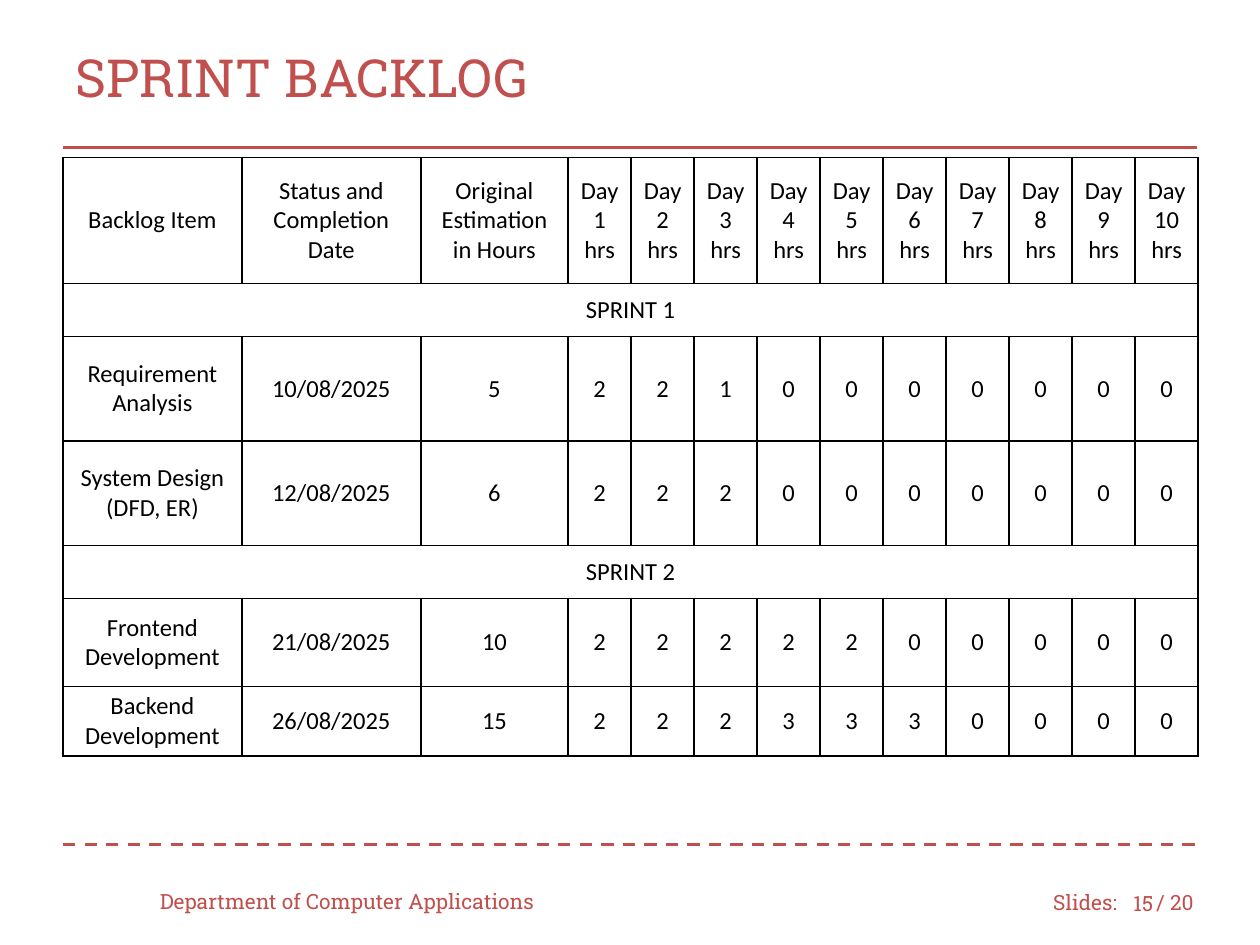
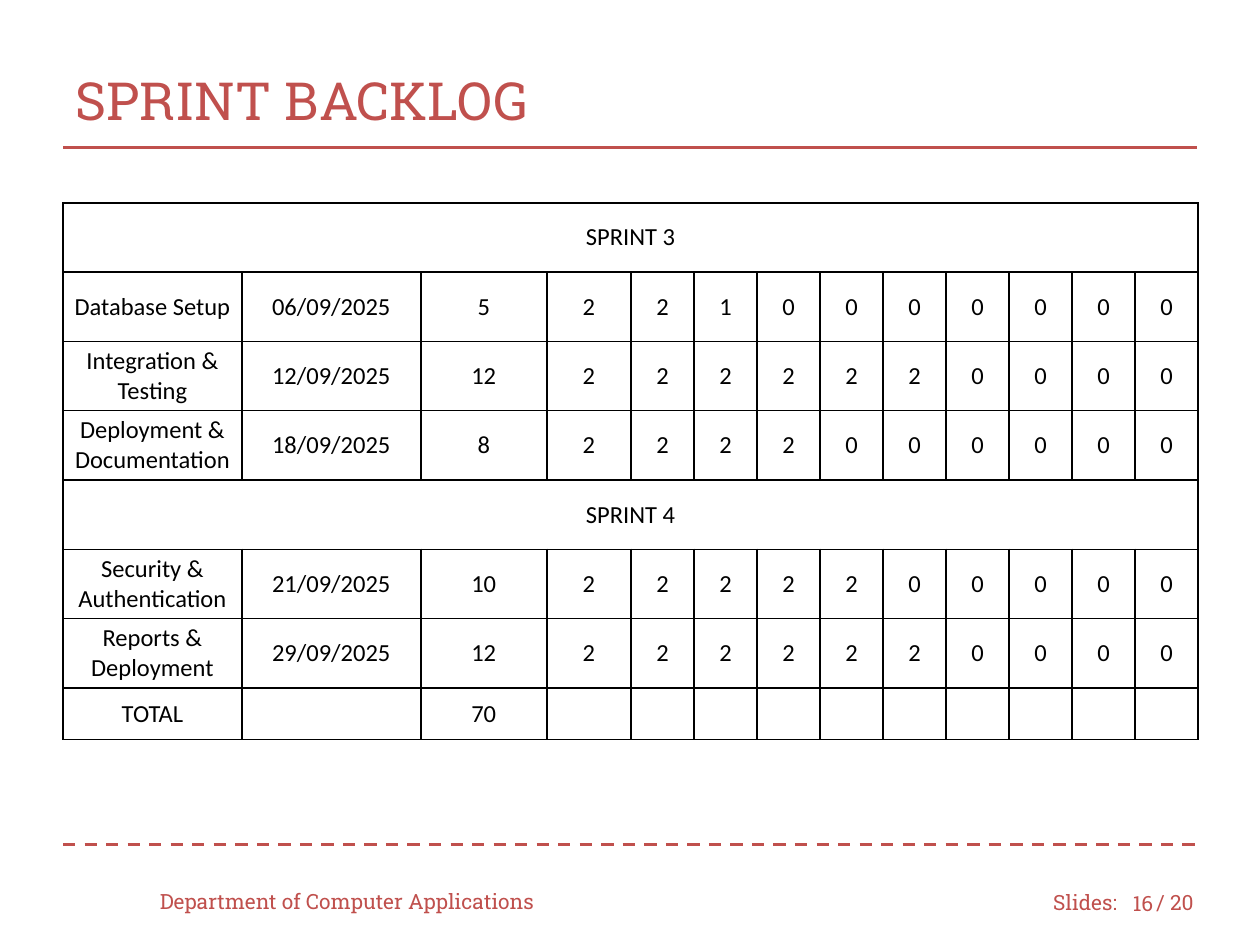
"""Build the two sprint backlog slides."""
from dataclasses import dataclass

from lxml.etree import SubElement
from pptx import Presentation
from pptx.dml.color import RGBColor
from pptx.enum.dml import MSO_LINE
from pptx.enum.shapes import MSO_CONNECTOR
from pptx.enum.text import MSO_ANCHOR, PP_ALIGN
from pptx.oxml.ns import qn
from pptx.util import Inches, Pt


@dataclass(frozen=True)
class Theme:
    accent: RGBColor = RGBColor(0xC0, 0x50, 0x4D)
    ink: RGBColor = RGBColor(0, 0, 0)
    heading_font: str = "Roboto Slab"
    table_font: str = "Calibri"
    title_size: Pt = Pt(30)
    footer_size: Pt = Pt(12)
    table_size: Pt = Pt(14)
    rule_width: Pt = Pt(1.75)
    border_width: Pt = Pt(1)


DAYS = 10
SLIDE_TOTAL = 20
LEFT, RIGHT = 0.5, 9.5


def apply_format(target, values):
    for name, value in values.items():
        setattr(target, name, value)


def backlog_row(item, date, estimate, *hours):
    idle_days = [0] * (DAYS - len(hours))
    return [item, date, estimate, *hours, *idle_days]


class BacklogDeck:
    def __init__(self, theme):
        self.theme = theme
        self.slide = None
        self.presentation = Presentation()
        apply_format(self.presentation, {"slide_width": Inches(10), "slide_height": Inches(7.5)})
        self.title_format = {"name": theme.heading_font, "size": theme.title_size}
        self.footer_format = {"name": theme.heading_font, "size": theme.footer_size}
        self.table_format = {"name": theme.table_font, "size": theme.table_size}

    def add_text(self, text_frame, text, font_format, color, alignment=PP_ALIGN.LEFT):
        paragraph = text_frame.paragraphs[0]
        paragraph.alignment = alignment
        run = paragraph.add_run()
        run.text = text
        apply_format(run.font, font_format)
        run.font.color.rgb = color

    def place(self, shape, left, top, width, height):
        apply_format(shape, {"left": Inches(left), "top": Inches(top),
                             "width": Inches(width), "height": Inches(height)})

    def add_slide(self, title, title_top, number):
        self.slide = self.presentation.slides.add_slide(self.presentation.slide_layouts[5])
        self.add_title(title, title_top)
        self.add_rule(1.17)
        self.add_rule(6.7, MSO_LINE.DASH)
        self.add_label("Department of Computer Applications", 1.17, 6.95, 3.33)
        self.add_label("Slides:", 8.26, 6.96, 0.75)
        self.add_label(str(number), 8.83, 6.97, 0.42, PP_ALIGN.RIGHT)
        self.add_label(f"/ {SLIDE_TOTAL}", 9.08, 6.96, 0.58)

    def add_title(self, text, top):
        shape = self.slide.shapes.title
        self.place(shape, LEFT, top, RIGHT - LEFT, 0.92)
        shape.text_frame.vertical_anchor = MSO_ANCHOR.MIDDLE
        self.add_text(shape.text_frame, text, self.title_format, self.theme.accent)

    def add_label(self, text, left, top, width, alignment=PP_ALIGN.LEFT):
        shape = self.slide.shapes.add_textbox(
            Inches(left), Inches(top), Inches(width), Inches(0.4))
        apply_format(shape.text_frame, {"word_wrap": True, "vertical_anchor": MSO_ANCHOR.MIDDLE})
        self.add_text(shape.text_frame, text, self.footer_format, self.theme.accent, alignment)

    def add_rule(self, top, dash_style=None):
        connector = self.slide.shapes.add_connector(
            MSO_CONNECTOR.STRAIGHT, Inches(LEFT), Inches(top), Inches(RIGHT), Inches(top))
        connector.line.color.rgb = self.theme.accent
        apply_format(connector.line, {"width": self.theme.rule_width, "dash_style": dash_style})
        SubElement(connector.element.spPr, qn("a:effectLst"))

    def add_backlog(self, top, columns, heights, rows, inset):
        frame = self.slide.shapes.add_table(
            len(rows), len(columns), Inches(LEFT), Inches(top),
            Inches(sum(columns)), Inches(sum(heights)))
        table = frame.table
        apply_format(table, {"first_row": False, "horz_banding": False})
        for column, width in zip(table.columns, columns):
            column.width = Inches(width)
        for row, height in zip(table.rows, heights):
            row.height = Inches(height)
        for row_index, values in enumerate(rows):
            for column_index in range(len(columns)):
                self.style_cell(table.cell(row_index, column_index), inset)
            if len(values) == 1:
                table.cell(row_index, 0).merge(table.cell(row_index, len(columns) - 1))
            for column_index, value in enumerate(values):
                if value != "":
                    self.add_text(table.cell(row_index, column_index).text_frame, str(value),
                                  self.table_format, self.theme.ink, PP_ALIGN.CENTER)

    def style_cell(self, cell, inset):
        apply_format(cell, {"margin_left": Inches(inset), "margin_right": Inches(inset),
                            "margin_top": Inches(inset / 2), "margin_bottom": Inches(inset / 2),
                            "vertical_anchor": MSO_ANCHOR.MIDDLE})
        properties = cell._tc.get_or_add_tcPr()
        for side in ("lnL", "lnR", "lnT", "lnB"):
            border = SubElement(properties, qn(f"a:{side}"), w=str(self.theme.border_width))
            fill = SubElement(border, qn("a:solidFill"))
            SubElement(fill, qn("a:srgbClr"), val=str(self.theme.ink))
        cell.fill.background()


def main():
    deck = BacklogDeck(Theme())

    deck.add_slide("SPRINT BACKLOG", 0.15, 15)
    day_headings = [f"Day {day} hrs" for day in range(1, DAYS + 1)]
    deck.add_backlog(
        1.25, [1.42, 1.42, 1.17] + [0.5] * DAYS, [1, 0.42, 0.83, 0.83, 0.42, 0.7, 0.55],
        [
            ["Backlog Item", "Status and Completion Date", "Original Estimation in Hours",
             *day_headings],
            ["SPRINT 1"],
            backlog_row("Requirement Analysis", "10/08/2025", 5, 2, 2, 1),
            backlog_row("System Design (DFD, ER)", "12/08/2025", 6, 2, 2, 2),
            ["SPRINT 2"],
            backlog_row("Frontend Development", "21/08/2025", 10, 2, 2, 2, 2, 2),
            backlog_row("Backend Development", "26/08/2025", 15, 2, 2, 2, 3, 3, 3),
        ], 0.08)

    deck.add_slide("SPRINT BACKLOG", 0.33, 16)
    deck.add_backlog(
        1.61, [1.42, 1.42, 1, 0.67] + [0.5] * (DAYS - 1), [0.55] * 7 + [0.41],
        [
            ["SPRINT 3"],
            backlog_row("Database Setup", "06/09/2025", 5, 2, 2, 1),
            backlog_row("Integration & Testing", "12/09/2025", 12, 2, 2, 2, 2, 2, 2),
            backlog_row("Deployment & Documentation", "18/09/2025", 8, 2, 2, 2, 2),
            ["SPRINT 4"],
            backlog_row("Security & Authentication", "21/09/2025", 10, 2, 2, 2, 2, 2),
            backlog_row("Reports & Deployment", "29/09/2025", 12, 2, 2, 2, 2, 2, 2),
            ["TOTAL", "", 70],
        ], 0.06)

    deck.presentation.save("out.pptx")


if __name__ == "__main__":
    main()
